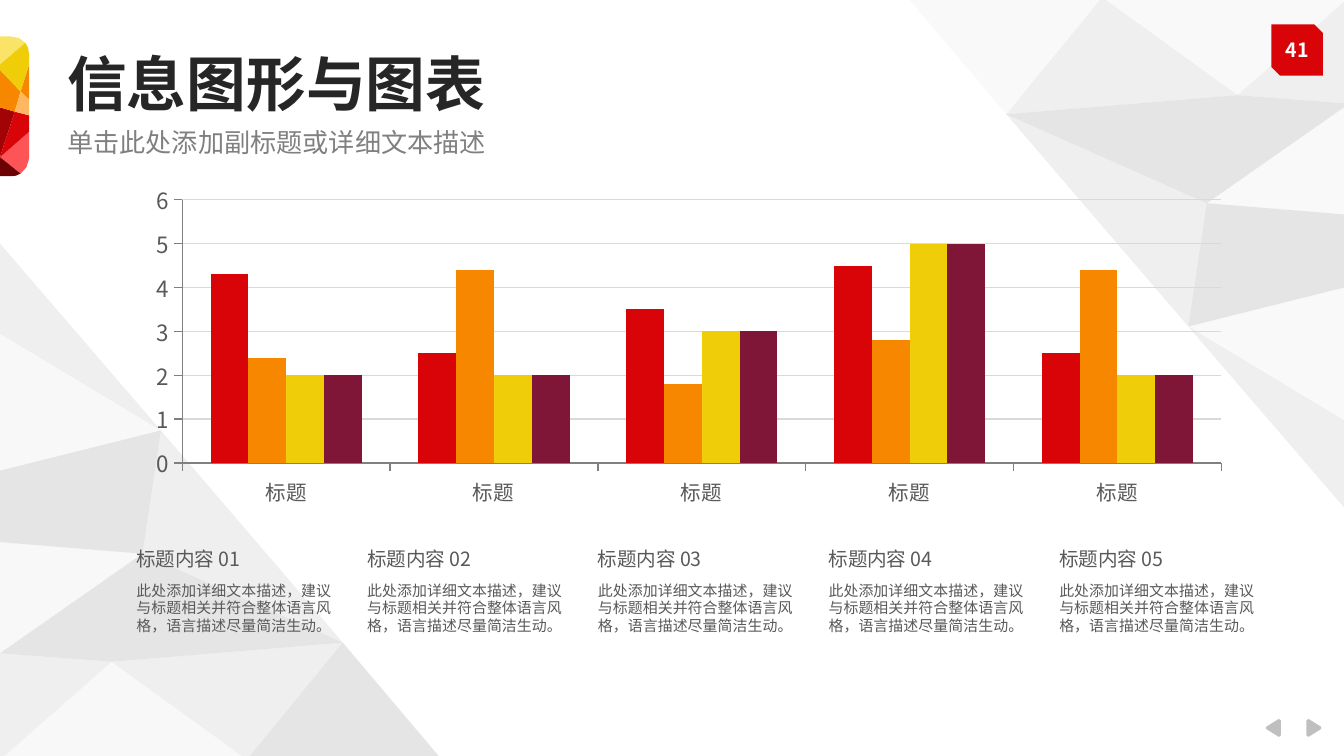
from pptx import Presentation
from pptx import util as u
from pptx.chart.data import CategoryChartData
from pptx.dml.color import RGBColor
from pptx.enum import chart as ch, shapes, text
from pptx.oxml import xmlchemy as xc

FACE = "Noto Sans CJK SC"
WHITE = RGBColor(0xFF, 0xFF, 0xFF)
PALE = RGBColor(0xF2, 0xF2, 0xF2)
LIGHT = RGBColor(0xD9, 0xD9, 0xD9)
SILVER = RGBColor(0xBF, 0xBF, 0xBF)
GREY = RGBColor(0x80, 0x80, 0x80)
SLATE = RGBColor(0x59, 0x59, 0x59)
BLACK = RGBColor(0x26, 0x26, 0x26)
RED = RGBColor(0xD8, 0x04, 0x07)
ORANGE = RGBColor(0xF8, 0x87, 0x00)
YELLOW = RGBColor(0xEF, 0xCD, 0x09)
PLUM = RGBColor(0x80, 0x16, 0x37)
PINK = RGBColor(0xFC, 0x54, 0x57)
WINE = RGBColor(0xA2, 0x03, 0x05)
DARK = RGBColor(0x6C, 0x02, 0x04)
LEMON = RGBColor(0xF9, 0xE4, 0x68)
PEACH = RGBColor(0xFF, 0xB7, 0x62)

deck = Presentation()
deck.slide_width, deck.slide_height = u.Cm(25.4), u.Cm(14.28)
slide = deck.slides.add_slide(deck.slide_layouts[5])
items = slide.shapes


def facet(points, color, alpha=100):
    """Draw a closed outline through points in centimetres, alpha in percent."""
    spots = [(u.Cm(x), u.Cm(y)) for x, y in points]
    pen = items.build_freeform(*spots[0], scale=1.0)
    pen.add_line_segments(spots[1:], close=True)
    shape = pen.convert_to_shape()
    shape.shadow.inherit = False
    shape.line.fill.background()
    shape.fill.solid()
    shape.fill.fore_color.rgb = color
    if alpha < 100:
        tint = shape.element.spPr.xpath(".//a:srgbClr")[0]
        glass = xc.OxmlElement("a:alpha")
        glass.set("val", str(alpha * 1000))
        tint.append(glass)


def write(shape, words, size, color, bold=False, inset=0, **looks):
    """Fill a shape with one run; looks are extra paragraph settings."""
    frame = shape.text_frame
    edges = dict.fromkeys(("margin_left", "margin_right"), u.Cm(inset))
    edges |= dict.fromkeys(("margin_top", "margin_bottom"), u.Cm(inset / 2))
    edges |= {"word_wrap": True, "auto_size": text.MSO_AUTO_SIZE.NONE,
              "vertical_anchor": text.MSO_ANCHOR.MIDDLE}
    for key, value in edges.items():
        setattr(frame, key, value)
    para = frame.paragraphs[0]
    for key, value in ({"alignment": text.PP_ALIGN.LEFT} | looks).items():
        setattr(para, key, value)
    run = para.add_run()
    run.text = words
    style = {"name": FACE, "size": u.Pt(size), "bold": bold}
    for key, value in style.items():
        setattr(run.font, key, value)
    run.font.color.rgb = color
    east = xc.OxmlElement("a:ea")
    east.set("typeface", FACE)
    run._r.get_or_add_rPr().append(east)


# Corner mesh: the lower left one is the upper right one turned by 180 degrees
peak, top, corner = (23.39, 1.8), (20.83, -0.05), (25.5, -0.05)
west, hub, low = (19.02, 2.16), (22.81, 3.84), (22.46, 6.17)
rim = [(25.5, y) for y in (1.96, 4.06, 5.41, 8, 9.7)]
mesh = [
    ((peak, top, corner), PALE),
    ((peak, corner, rim[0]), LIGHT),
    ((top, peak, west), LIGHT),
    ((west, peak, rim[0], hub), SILVER),
    ((west, hub, low), LIGHT),
    ((hub, rim[0], rim[1]), PALE),
    ((hub, rim[1], rim[2], low), SILVER),
    ((low, rim[2], rim[3]), PALE),
    ((low, rim[3], rim[4]), LIGHT),
    ((top, west, (17.15, -0.05)), PALE),
]
for points, color in mesh:
    facet(points, color, 40)
for points, color in mesh[:-1]:
    turned = [(25.5 - x, 14.3 - y) for x, y in points]
    facet(turned, color, 50 if color == PALE else 40)
facet([(25.5 - x, 14.3 - y) for x, y in mesh[-1][0]], SILVER, 40)

# Page arrows, mirrored about their common axis
arrow = [(24.69, 13.61), (24.73, 13.58), (24.97, 13.73),
         (24.97, 13.77), (24.73, 13.92), (24.69, 13.89)]
facet(arrow, SILVER)
facet([(48.9 - x, y) for x, y in arrow], SILVER)

# Page number
badge = items.add_shape(shapes.MSO_SHAPE.SNIP_2_DIAG_RECTANGLE,
                        u.Cm(24.03), u.Cm(0.46), u.Cm(0.97), u.Cm(0.97))
badge.shadow.inherit = False
badge.fill.solid()
badge.fill.fore_color.rgb = RED
badge.line.fill.background()
write(badge, "41", 10.5, WHITE, True, alignment=text.PP_ALIGN.CENTER)

# Heading
title = items.title
head = {"left": 1.27, "top": 1.09, "width": 13.34, "height": 1.12}
for key, value in head.items():
    setattr(title, key, u.Cm(value))
write(title, "信息图形与图表", 32, BLACK, True, line_spacing=0.9)
sub = items.add_textbox(u.Cm(1.27), u.Cm(2.49), u.Cm(8.13), u.Cm(0.48))
write(sub, "单击此处添加副标题或详细文本描述", 14, GREY, line_spacing=0.9)

# Gem at the left edge
mid, knot, tail = (0.39, 1.73), (0.28, 2.11), (0, 2.97)
gem = [
    (((0.55, 2.49), tail, (0.39, 3.28), (0.5, 3.16), (0.55, 3)), PINK),
    ((knot, (0, 2.03), tail), WINE),
    ((knot, tail, (0.55, 2.49), (0.55, 2.18)), RED),
    (((0.39, 3.28), tail, (0, 3.33), (0.2, 3.33), (0.3, 3.32)), DARK),
    (((0, 1.22), (0.48, 0.81), (0.36, 0.72), (0.2, 0.69), (0, 0.69)), LEMON),
    (((0.55, 1.22), mid, (0.55, 1.88)), ORANGE),
    ((knot, mid, (0, 1.32), (0, 2.03)), ORANGE),
    (((0, 1.32), mid, (0.55, 1.22), (0.55, 1.02), (0.53, 0.9),
      (0.48, 0.81), (0, 1.22)), YELLOW),
    (((0.55, 1.88), mid, knot, (0.55, 2.18)), PEACH),
]
for points, color in gem:
    facet(points, color)

# Captions
for i in range(5):
    left = u.Cm(2.33 + 4.36 * i)
    note = items.add_textbox(left, u.Cm(10.85), u.Cm(4.24), u.Cm(1.27))
    write(note, "此处添加详细文本描述，建议与标题相关并符合整体语言风格，语言描述尽量简洁生动。",
          8, SLATE, inset=0.25)
    label = items.add_textbox(left, u.Cm(10.19), u.Cm(4.24), u.Cm(0.71))
    write(label, f"标题内容 {i + 1:02}", 10.5, SLATE, inset=0.25)

# Column chart
data = CategoryChartData()
data.categories = ["标题"] * 5
rows = [
    ((4.3, 2.5, 3.5, 4.5, 2.5), RED),
    ((2.4, 4.4, 1.8, 2.8, 4.4), ORANGE),
    ((2, 2, 3, 5, 2), YELLOW),
    ((2, 2, 3, 5, 2), PLUM),
]
for i, (values, color) in enumerate(rows, 1):
    data.add_series(f"Series {i}", values)
chart = items.add_chart(ch.XL_CHART_TYPE.COLUMN_CLUSTERED, u.Cm(2.54), u.Cm(3.33),
                        u.Cm(20.96), u.Cm(6.35), data).chart
chart.has_legend = chart.has_title = False
chart.font.name, chart.font.size = FACE, u.Pt(18)
plot = chart.plots[0]
plot.gap_width, plot.overlap, plot.vary_by_categories = 150, 0, False
for series, (values, color) in zip(plot.series, rows):
    series.format.fill.solid()
    series.format.fill.fore_color.rgb = color
for axis, size in ((chart.category_axis, 11), (chart.value_axis, 12)):
    axis.major_tick_mark = ch.XL_TICK_MARK.OUTSIDE
    axis.format.line.color.rgb = GREY
    axis.format.line.width = u.Pt(0.75)
    font = axis.tick_labels.font
    font.name, font.size, font.color.rgb = FACE, u.Pt(size), SLATE
    east = xc.OxmlElement("a:ea")
    east.set("typeface", FACE)
    font._element.append(east)
scale = chart.value_axis
scale.minimum_scale, scale.maximum_scale, scale.major_unit = 0, 6, 1
grid = scale.major_gridlines.format.line
grid.color.rgb, grid.width = LIGHT, u.Pt(0.75)

deck.save("out.pptx")
